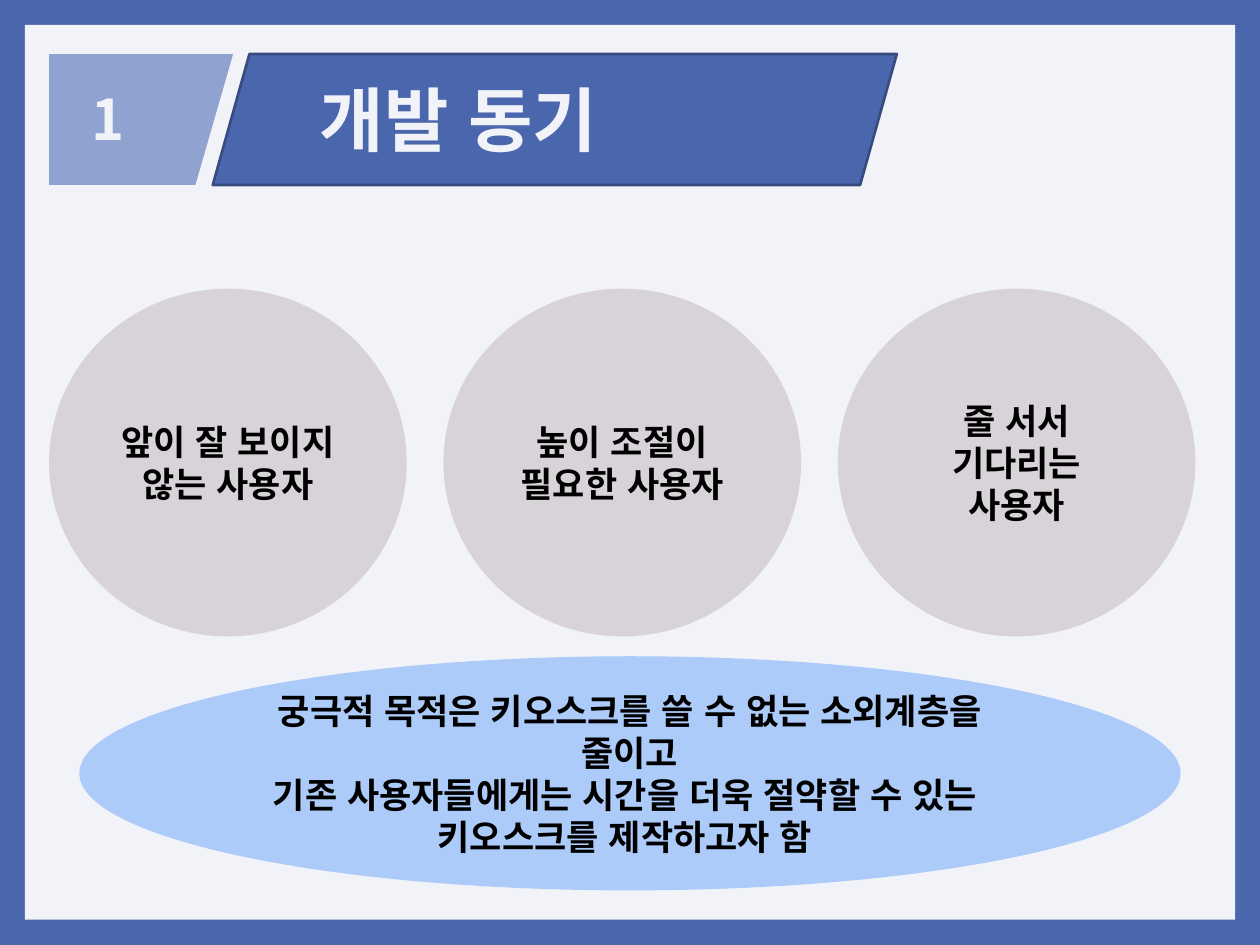
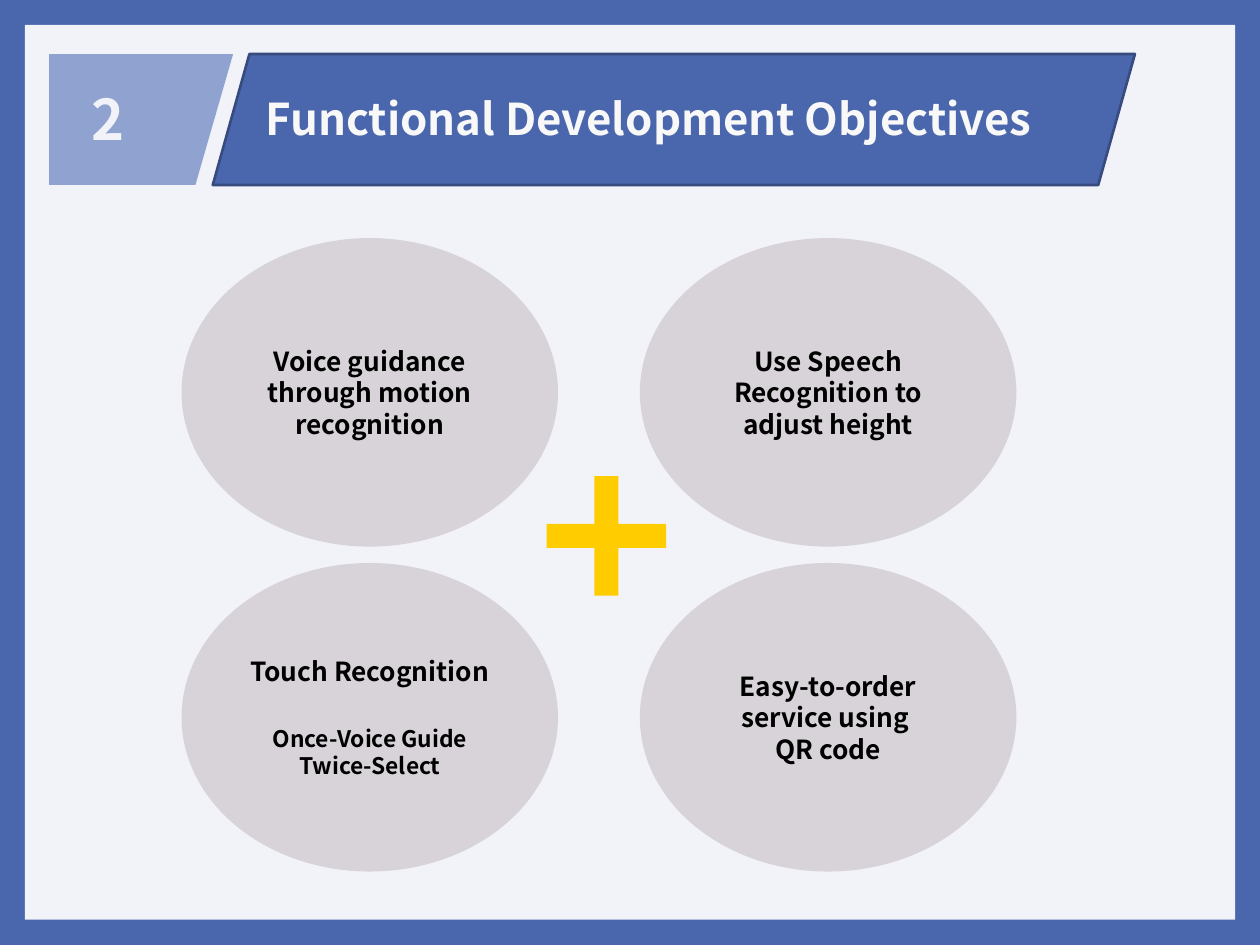
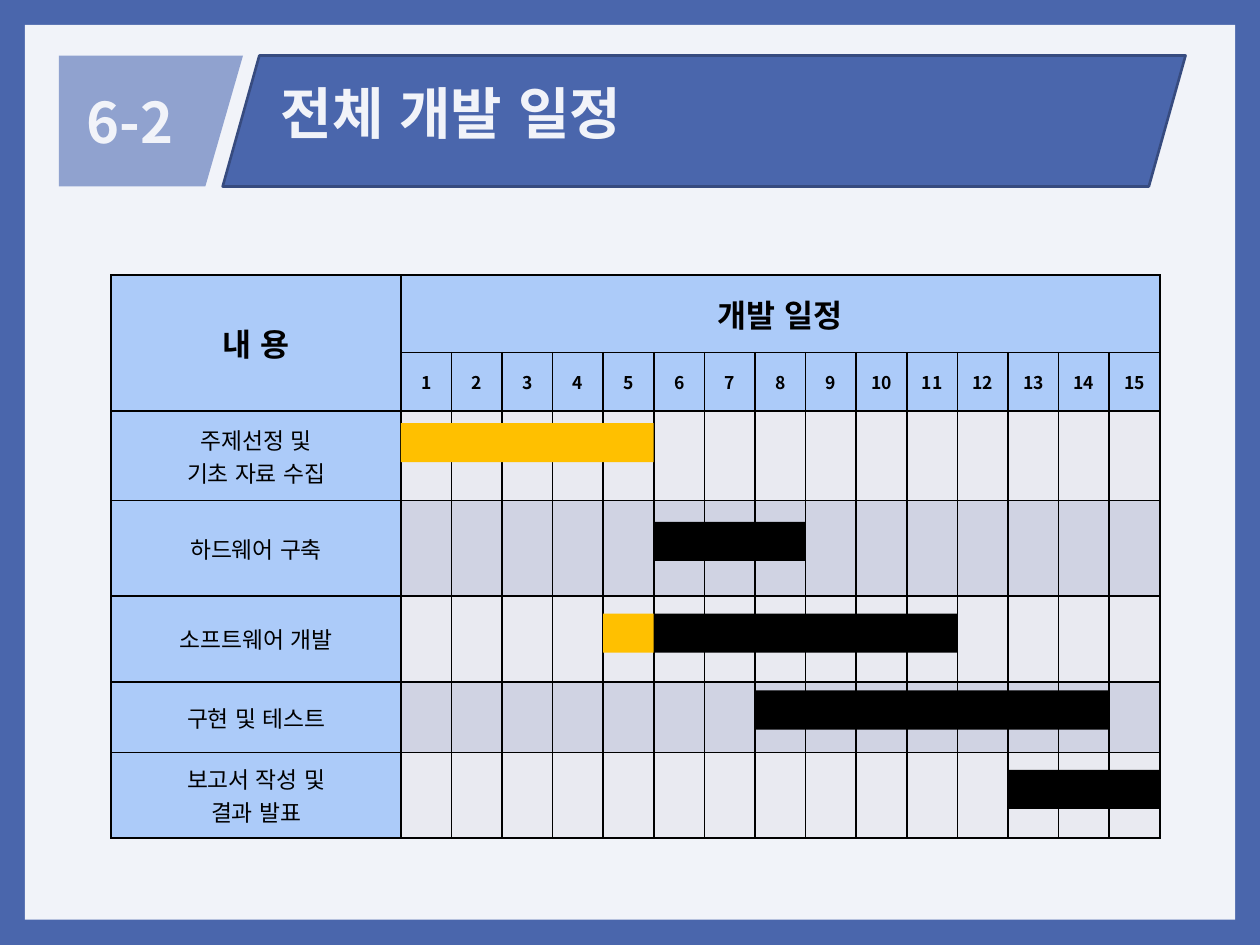
from lxml import etree
from pptx import Presentation
from pptx.dml.color import RGBColor
from pptx.enum.shapes import MSO_SHAPE
from pptx.enum.text import MSO_ANCHOR, PP_ALIGN
from pptx.oxml.ns import qn
from pptx.util import Cm, Pt

# Shared look
FONT = "Noto Sans CJK KR"
BLUE = RGBColor(0x4A, 0x66, 0xAC)
DARK_BLUE = RGBColor(0x37, 0x4B, 0x7F)
BADGE_BLUE = RGBColor(0x90, 0xA2, 0xCF)
PALE = RGBColor(0xF1, 0xF3, 0xF9)
NEAR_WHITE = RGBColor(0xF8, 0xF8, 0xF8)
GREY = RGBColor(0xD8, 0xD3, 0xD9)
SKY = RGBColor(0xAC, 0xCB, 0xF9)
ROW_LIGHT = RGBColor(0xE9, 0xEA, 0xF1)
ROW_DARK = RGBColor(0xD0, 0xD3, 0xE3)
YELLOW = RGBColor(0xFF, 0xCC, 0x00)
AMBER = RGBColor(0xFF, 0xC0, 0x00)
BLACK = RGBColor(0, 0, 0)

RECT = MSO_SHAPE.RECTANGLE
ELLIPSE = MSO_SHAPE.OVAL
SLANTED = MSO_SHAPE.PARALLELOGRAM
PLUS = MSO_SHAPE.CROSS
MIDDLE = MSO_ANCHOR.MIDDLE
LEFT, CENTER = PP_ALIGN.LEFT, PP_ALIGN.CENTER

HEADER_H = 2.64
LINE_HEIGHT = 1.2
TABLE_LINE_HEIGHT = 1.45

# Schedule: label lines, row height, bar top, bars as (first week, last week, colour)
TASKS = [
    (["주제선정 및", "기초 자료 수집"], 1.8, 8.53, [(1, 5, AMBER)]),
    (["하드웨어 구축"], 1.93, 10.52, [(6, 8, BLACK)]),
    (["소프트웨어 개발"], 1.73, 12.37, [(6, 7, BLACK), (8, 11, BLACK), (5, 5, AMBER)]),
    (["구현 및 테스트"], 1.42, 13.92, [(8, 14, BLACK)]),
    (["보고서 작성 및", "결과 발표"], 1.73, 15.52, [(13, 15, BLACK)]),
]
WEEKS = 15
WEEK_W, LABEL_W = 1.02, 5.84
TABLE_LEFT, TABLE_TOP = 2.24, 5.54
BAR_H = 0.79


def paint(shape, fill, line=None):
    shape.shadow.inherit = False
    shape.fill.solid()
    shape.fill.fore_color.rgb = fill
    if line is None:
        shape.line.fill.background()
    else:
        shape.line.color.rgb = line
        shape.line.width = Pt(1.5)


def add_block(slide, kind, box, fill, line=None):
    block = slide.shapes.add_shape(kind, *map(Cm, box))
    paint(block, fill, line)
    return block


def add_run(paragraph, text, size, color, bold):
    run = paragraph.add_run()
    run.text = text
    run.font.name = FONT
    run.font.size = Pt(size)
    run.font.bold = bold
    run.font.color.rgb = color
    properties = run.font._element
    properties.set("lang", "ko-KR")
    etree.SubElement(properties, qn("a:ea")).set("typeface", FONT)


def write(frame, lines, size, color=BLACK, bold=True, align=CENTER, spacing=LINE_HEIGHT):
    """Write one paragraph per line and return the last one."""
    frame.word_wrap = True
    for index, line in enumerate(lines):
        paragraph = frame.add_paragraph() if index else frame.paragraphs[0]
        paragraph.alignment = align
        paragraph.line_spacing = Pt(round(size * spacing, 1))
        add_run(paragraph, line, size, color, bold)
    return paragraph


def add_ellipse(slide, box, lines, size, fill=GREY):
    ellipse = add_block(slide, ELLIPSE, box, fill)
    ellipse.text_frame.vertical_anchor = MIDDLE
    write(ellipse.text_frame, lines, size)
    return ellipse


def add_label(slide, box, text, size, color=PALE, indent=0.25):
    label = slide.shapes.add_textbox(*map(Cm, box))
    label.text_frame.margin_left = Cm(indent)
    write(label.text_frame, [text], size, color, align=LEFT)


def add_framed_slide(prs):
    slide = prs.slides.add_slide(prs.slide_layouts[6])
    add_block(slide, RECT, (0.5, 0.5, 24.4, 18.04), PALE)
    return slide


def add_header(slide, left, top, banner_w):
    banner = add_block(slide, SLANTED, (left + 3.3, top, banner_w, HEADER_H), BLUE, DARK_BLUE)
    banner.adjustments[0] = 0.28
    outline = slide.shapes.build_freeform(Cm(left), Cm(top), scale=1.0)
    corners = [(3.71, 0), (2.95, HEADER_H), (0, HEADER_H)]
    outline.add_line_segments([(Cm(left + x), Cm(top + y)) for x, y in corners])
    paint(outline.convert_to_shape(), BADGE_BLUE)


def fill_cell(cell, fill):
    """Give a cell thin black borders and a plain fill."""
    properties = cell._tc.get_or_add_tcPr()
    for side in ("a:lnL", "a:lnR", "a:lnT", "a:lnB"):
        border = etree.SubElement(properties, qn(side), w=str(Pt(1)))
        color = etree.SubElement(border, qn("a:solidFill"))
        etree.SubElement(color, qn("a:srgbClr"), val=str(BLACK))
    cell.fill.solid()
    cell.fill.fore_color.rgb = fill
    cell.vertical_anchor = MIDDLE


def write_cell(cell, lines, size, bold=True):
    write(cell.text_frame, lines, size, bold=bold, spacing=TABLE_LINE_HEIGHT)


def add_schedule(slide):
    heights = [1.57, 1.02] + [task[1] for task in TASKS]
    widths = [LABEL_W] + [WEEK_W] * WEEKS
    table = slide.shapes.add_table(
        len(heights), len(widths), Cm(TABLE_LEFT), Cm(TABLE_TOP),
        Cm(sum(widths)), Cm(sum(heights))).table
    table.first_row = table.horz_banding = False
    for column, width in zip(table.columns, widths):
        column.width = Cm(width)
    for r, height in enumerate(heights):
        table.rows[r].height = Cm(height)
        row_fill = ROW_DARK if r % 2 else ROW_LIGHT
        for c in range(len(widths)):
            fill_cell(table.cell(r, c), SKY if r < 2 or c == 0 else row_fill)

    # Headings and task names
    table.cell(0, 0).merge(table.cell(1, 0))
    table.cell(0, 1).merge(table.cell(0, WEEKS))
    write_cell(table.cell(0, 0), ["내 용"], 18)
    write_cell(table.cell(0, 1), ["개발 일정"], 18)
    for week in range(1, WEEKS + 1):
        write_cell(table.cell(1, week), [str(week)], 10)
    for r, task in enumerate(TASKS, start=2):
        write_cell(table.cell(r, 0), task[0], 13, bold=False)


def add_bars(slide):
    for _, _, top, bars in TASKS:
        for first, last, color in bars:
            left = TABLE_LEFT + LABEL_W + (first - 1) * WEEK_W
            add_block(slide, RECT, (left, top, (last - first + 1) * WEEK_W, BAR_H), color)


def build_motivation(prs):
    slide = add_framed_slide(prs)
    add_header(slide, 0.99, 1.09, 13.79)
    add_label(slide, (6.2, 1.42, 12.09, 1.96), "개발 동기", 40)
    add_label(slide, (1.09, 1.57, 5, 1.63), "1", 32, indent=0.75)
    users = [["앞이 잘 보이지 않는 사용자"],
             ["높이 조절이", "필요한 사용자"],
             ["줄 서서", "기다리는 사용자"]]
    for i, user in enumerate(users):
        add_ellipse(slide, (0.99 + i * 7.95, 5.82, 7.21, 7.01), user, 20)
    goal = ["궁극적 목적은 키오스크를 쓸 수 없는 소외계층을 줄이고",
            "기존 사용자들에게는 시간을 더욱 절약할 수 있는 ",
            "키오스크를 제작하고자 함 "]
    add_ellipse(slide, (1.6, 13.23, 22.2, 4.72), goal, 20, SKY)


def build_objectives(prs):
    slide = add_framed_slide(prs)
    add_header(slide, 0.99, 1.09, 18.59)
    add_label(slide, (5.11, 1.73, 18.21, 1.32), "Functional Development Objectives", 25, NEAR_WHITE)
    add_label(slide, (1.09, 1.57, 5, 1.63), "2", 32, indent=0.75)
    objectives = [["Voice guidance through motion recognition"],
                  ["Use Speech Recognition to adjust height"],
                  ["Touch Recognition"],
                  ["Easy-to-order service using ", "QR code"]]
    ellipses = []
    for i, objective in enumerate(objectives):
        row, column = divmod(i, 2)
        box = (3.66 + column * 9.24, 4.8 + row * 6.55, 7.59, 6.22)
        ellipses.append(add_ellipse(slide, box, objective, 15))

    # Touch gestures below their heading
    gestures = ellipses[2].text_frame.add_paragraph()
    gestures.alignment = CENTER
    gestures.space_before = Pt(22)
    gestures.line_spacing = Pt(15.6)
    add_run(gestures, "Once-Voice Guide", 13, BLACK, True)
    gestures.add_line_break()
    add_run(gestures, "Twice-Select", 13, BLACK, True)

    plus = add_block(slide, PLUS, (11.02, 9.6, 2.41, 2.41), YELLOW)
    plus.adjustments[0] = 0.4


def build_schedule(prs):
    slide = add_framed_slide(prs)
    add_header(slide, 1.19, 1.12, 19.41)
    add_label(slide, (5.41, 1.45, 17.7, 1.63), "전체 개발 일정", 32)
    add_label(slide, (1.5, 1.63, 3.61, 1.63), "6-2", 32)
    add_schedule(slide)
    add_bars(slide)


def main():
    prs = Presentation()
    prs.slide_width, prs.slide_height = Cm(25.4), Cm(19.05)
    backdrop = prs.slide_master.background.fill
    backdrop.solid()
    backdrop.fore_color.rgb = BLUE
    build_motivation(prs)
    build_objectives(prs)
    build_schedule(prs)
    prs.save("out.pptx")


if __name__ == "__main__":
    main()
